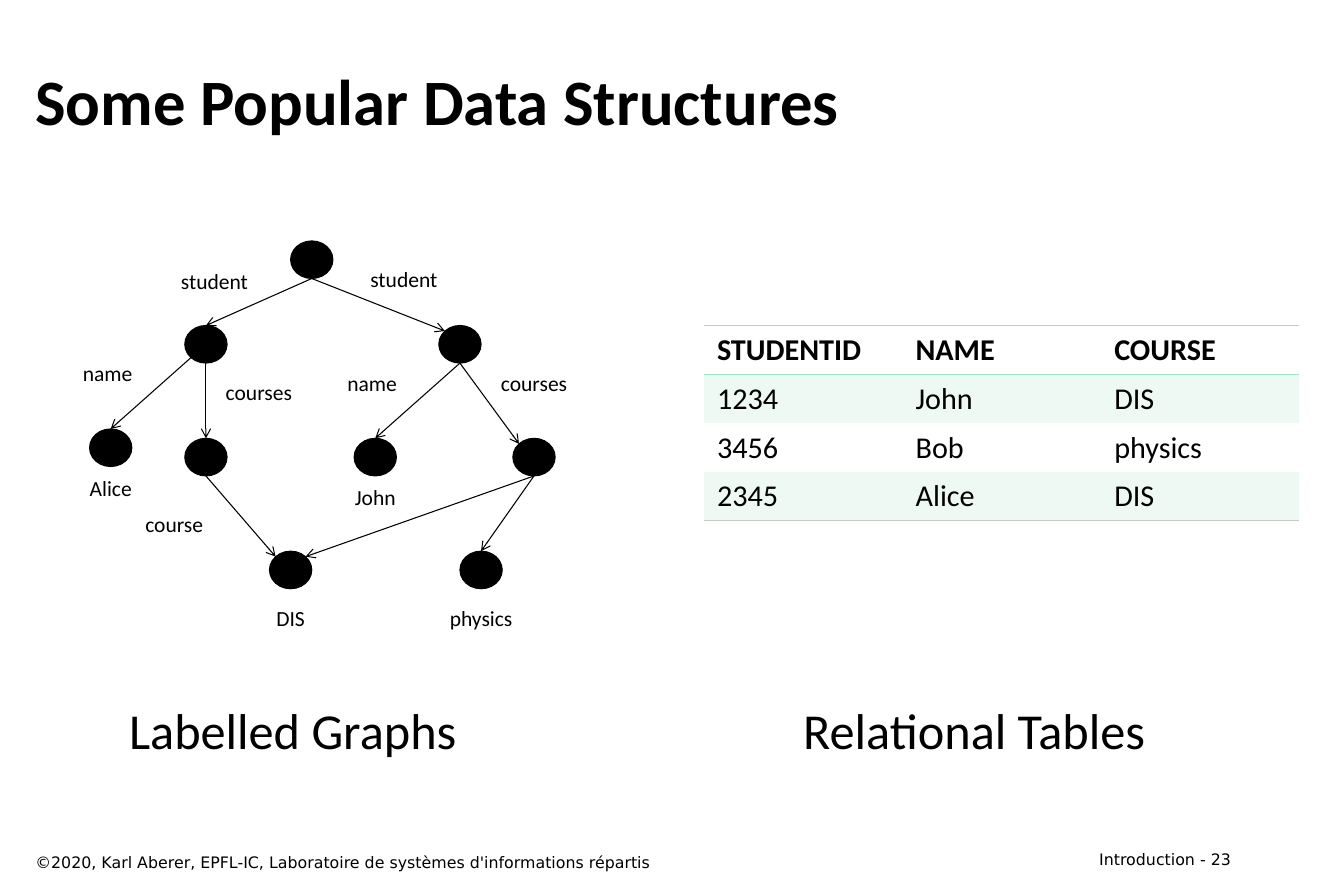
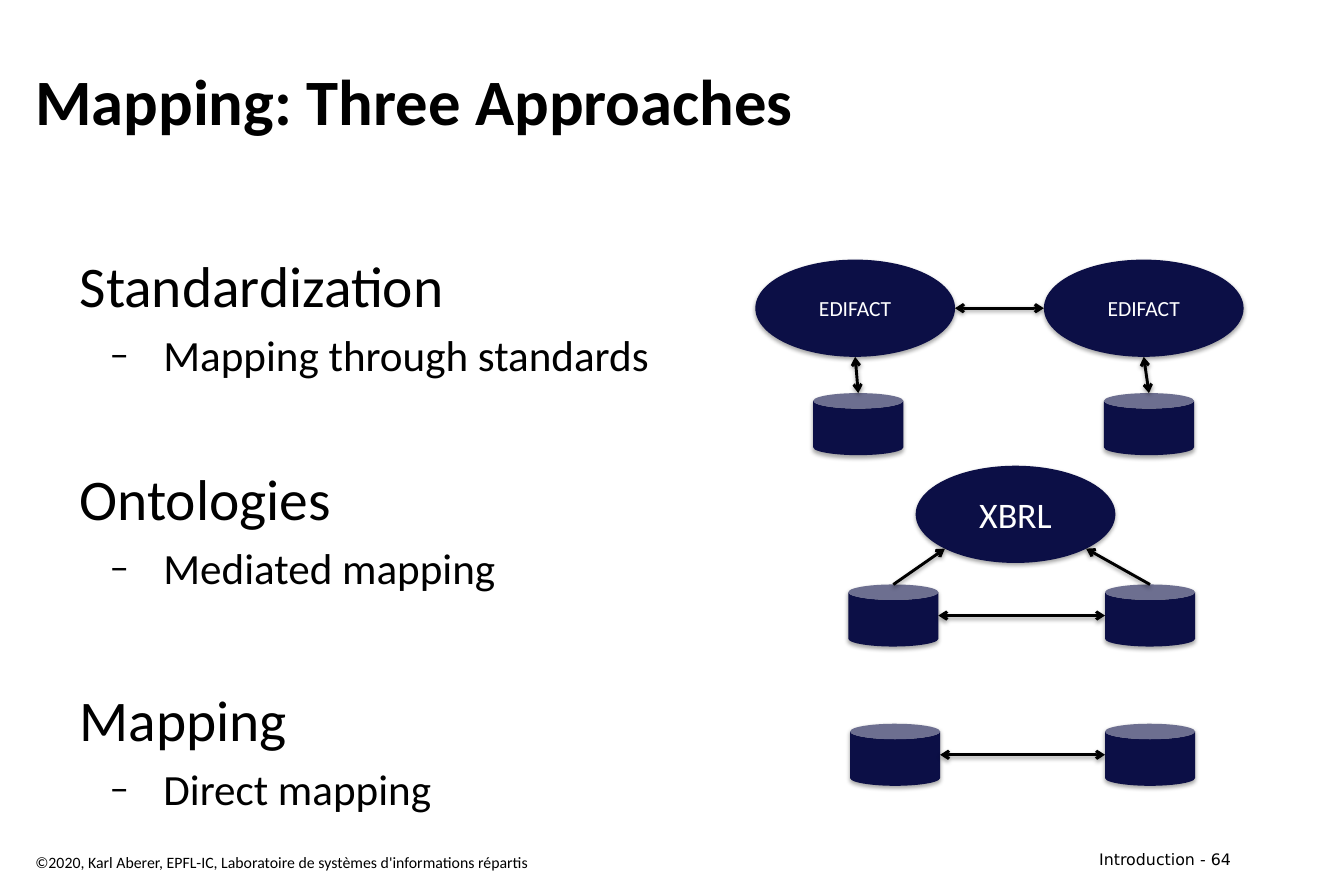
from math import sqrt

from pptx import Presentation
from pptx.dml.color import RGBColor
from pptx.enum.shapes import MSO_CONNECTOR, MSO_SHAPE
from pptx.enum.text import MSO_ANCHOR, PP_ALIGN
from pptx.oxml import parse_xml
from pptx.oxml.ns import nsdecls, qn
from pptx.util import Inches, Pt

WIDTH, HEIGHT = Inches(12.99), Inches(8.66)

BLACK = RGBColor(0x00, 0x00, 0x00)
WHITE = RGBColor(0xFF, 0xFF, 0xFF)
NAVY = RGBColor(0x0C, 0x0F, 0x46)
MINT = RGBColor(0x9F, 0xE6, 0xC8)
PALE_MINT = RGBColor(0xEE, 0xF9, 0xF4)
GREY = RGBColor(0xC8, 0xC8, 0xC8)

TEXT_FONT, FOOTER_FONT = "Calibri", "DejaVu Sans"
COPYRIGHT = "©2020, Karl Aberer, EPFL-IC, Laboratoire de systèmes d'informations répartis"
NO_TABLE_STYLE = "{2D5ABB26-0587-4C30-8999-92F81FD0307C}"

# Directions from the centre of a shape to a point on its outline
DIAGONAL = 1 / sqrt(2)
TOP, BOTTOM, LEFT, RIGHT = (0, -1), (0, 1), (-1, 0), (1, 0)
TOP_LEFT, TOP_RIGHT = (-DIAGONAL, -DIAGONAL), (DIAGONAL, -DIAGONAL)
BOTTOM_LEFT, BOTTOM_RIGHT = (-DIAGONAL, DIAGONAL), (DIAGONAL, DIAGONAL)

# The graph sits on a fine grid whose origin is the centre of the "Alice" node
GRAPH_LEFT, GRAPH_TOP = Inches(1.07), Inches(2.51)
GRAPH_COLUMN, GRAPH_ROW = WIDTH / 127, HEIGHT / 95.3
NODES = {
    "root": (19, 0), "left": (9, 9), "right": (33, 9), "Alice": (0, 20),
    "left courses": (9, 21), "John": (25, 21), "right courses": (40, 21),
    "DIS": (17, 33), "physics": (35, 33),
}
EDGES = [
    ("root", BOTTOM, "left", TOP),
    ("root", BOTTOM, "right", TOP_LEFT),
    ("left", BOTTOM_LEFT, "Alice", TOP),
    ("left", BOTTOM, "left courses", TOP),
    ("right", BOTTOM, "John", TOP),
    ("right", BOTTOM, "right courses", TOP_LEFT),
    ("left courses", BOTTOM, "DIS", TOP_LEFT),
    ("right courses", BOTTOM, "DIS", TOP_RIGHT),
    ("right courses", BOTTOM, "physics", TOP),
]
GRAPH_LABELS = [
    ("student", 9.8, 2.3), ("student", 27.7, 2.1),
    ("name", -0.3, 12.1), ("courses", 14, 14.1),
    ("name", 24.7, 13.1), ("courses", 40, 13.1), ("course", 6, 28.1),
    ("Alice", 0, 24.3), ("John", 25, 25.3), ("DIS", 17, 38.1), ("physics", 35, 38.1),
]
STUDENTS = [
    ("STUDENTID", "NAME", "COURSE"),
    ("1234", "John", "DIS"),
    ("3456", "Bob", "physics"),
    ("2345", "Alice", "DIS"),
]
# Heading, detail, points of space before the heading
APPROACHES = [
    ("Standardization", "Mapping through standards", 0),
    ("Ontologies", "Mediated mapping", 57),
    ("Mapping", "Direct mapping", 63),
]


def across(percent):
    return round(WIDTH * percent / 100)


def down(percent):
    return round(HEIGHT * percent / 100)


def style_paragraph(paragraph, size, color=BLACK, bold=False, font=TEXT_FONT, align=PP_ALIGN.LEFT):
    paragraph.alignment = align
    paragraph.font.size = Pt(size)
    paragraph.font.name = font
    paragraph.font.bold = bold
    paragraph.font.color.rgb = color


def set_margins(frame):
    frame.margin_left = frame.margin_right = Inches(0.12)
    frame.margin_top = frame.margin_bottom = Inches(0.06)


def add_text(slide, text, left, top, width, height, size, anchor=MSO_ANCHOR.TOP, **style):
    """Add a text box; the lengths are percentages of the slide."""
    box = slide.shapes.add_textbox(across(left), down(top), across(width), down(height))
    frame = box.text_frame
    frame.word_wrap = True
    frame.vertical_anchor = anchor
    set_margins(frame)
    frame.text = text
    style_paragraph(frame.paragraphs[0], size, **style)
    return frame


def add_label(slide, text, x, y, width, size):
    """Add one unwrapped line of text centred on a point."""
    height = Pt(size * 1.22) + Inches(0.12)
    box = slide.shapes.add_textbox(round(x - width / 2), round(y - height / 2), width, height)
    frame = box.text_frame
    frame.word_wrap = False
    set_margins(frame)
    frame.text = text
    style_paragraph(frame.paragraphs[0], size, align=PP_ALIGN.CENTER)


def add_shadow(effects, opacity, distance):
    effects.append(parse_xml(
        f'<a:outerShdw {nsdecls("a")} blurRad="{Pt(3.1)}" dist="{Pt(distance)}" dir="5400000" '
        f'rotWithShape="0"><a:srgbClr val="{BLACK}"><a:alpha val="{opacity * 1000}"/>'
        f'</a:srgbClr></a:outerShdw>'))


def add_centred_shape(slide, kind, x, y, width, height, color):
    shape = slide.shapes.add_shape(
        kind, round(x - width / 2), round(y - height / 2), width, height)
    shape.fill.solid()
    shape.fill.fore_color.rgb = color
    shape.line.fill.background()
    shape.shadow.inherit = False
    return shape


def add_navy_shape(slide, kind, x, y, width, height):
    """Add a shadowed navy shape; the lengths are percentages of the slide."""
    shape = add_centred_shape(
        slide, kind, across(x), down(y), across(width), down(height), NAVY)
    add_shadow(shape._element.spPr.find(qn("a:effectLst")), 35, 1.8)
    return shape


def add_standard(slide, name, x, y, size):
    oval = add_navy_shape(slide, MSO_SHAPE.OVAL, x, y, 14.86, 10.85)
    frame = oval.text_frame
    set_margins(frame)
    frame.vertical_anchor = MSO_ANCHOR.MIDDLE
    frame.text = name
    style_paragraph(frame.paragraphs[0], size, WHITE, align=PP_ALIGN.CENTER)
    return oval


def add_database(slide, x, y):
    return add_navy_shape(slide, MSO_SHAPE.CAN, x, y, 6.7, 6.93)


def outline_point(shape, direction):
    x, y = direction
    return (round(shape.left + shape.width * (1 + x) / 2),
            round(shape.top + shape.height * (1 + y) / 2))


def add_arrow(slide, start, start_side, end, end_side, weight, both=False, shadow=False):
    connector = slide.shapes.add_connector(
        MSO_CONNECTOR.STRAIGHT,
        *outline_point(start, start_side), *outline_point(end, end_side))
    connector.line.color.rgb = BLACK
    connector.line.width = Pt(weight)
    properties = connector._element.spPr
    line = properties.find(qn("a:ln"))
    for tag in ("headEnd", "tailEnd") if both else ("tailEnd",):
        line.append(parse_xml(f'<a:{tag} {nsdecls("a")} type="arrow"/>'))
    effects = parse_xml(f'<a:effectLst {nsdecls("a")}/>')
    properties.append(effects)
    if shadow:
        add_shadow(effects, 38, 1.6)


def add_border(cell, side, color):
    cell._tc.get_or_add_tcPr().insert(0, parse_xml(
        f'<a:ln{side} {nsdecls("a")} w="{Pt(1)}"><a:solidFill>'
        f'<a:srgbClr val="{color}"/></a:solidFill></a:ln{side}>'))


def add_student_table(slide):
    graphic = slide.shapes.add_table(
        len(STUDENTS), len(STUDENTS[0]), across(52.35), down(36.37), across(44.34), down(21.6))
    for style_id in graphic._element.iter(qn("a:tableStyleId")):
        style_id.text = NO_TABLE_STYLE
    table = graphic.table
    table.horz_banding = False
    last = len(STUDENTS) - 1
    for row, values in enumerate(STUDENTS):
        for column, value in enumerate(values):
            cell = table.cell(row, column)
            cell.margin_left = cell.margin_right = Inches(0.13)
            cell.margin_top = cell.margin_bottom = Inches(0.06)
            cell.text = value
            style_paragraph(cell.text_frame.paragraphs[0], 21, bold=row == 0)
            if row % 2:
                cell.fill.solid()
                cell.fill.fore_color.rgb = PALE_MINT
            else:
                cell.fill.background()
            if row in (0, last):
                add_border(cell, "B", GREY if row == last else MINT)
            if row == 0:
                add_border(cell, "T", GREY)


def add_slide(presentation, title, number, copyright_font):
    """Add a blank slide with the shared title and footers."""
    slide = presentation.slides.add_slide(presentation.slide_layouts[6])
    add_text(slide, title, 1.7, 4.45, 90.84, 13.4, 45, anchor=MSO_ANCHOR.MIDDLE, bold=True)
    add_text(slide, COPYRIGHT, 1.7, 94.46, 64.2, 3.35, 11, font=copyright_font)
    add_text(slide, f"Introduction - {number}", 71.67, 94.11, 20.86, 3.35, 11,
             font=FOOTER_FONT, align=PP_ALIGN.RIGHT)
    return slide


def graph_point(column, row):
    return GRAPH_LEFT + GRAPH_COLUMN * column, GRAPH_TOP + GRAPH_ROW * row


def add_graph(slide):
    nodes = {}
    for name, position in NODES.items():
        node = add_centred_shape(
            slide, MSO_SHAPE.OVAL, *graph_point(*position),
            round(GRAPH_COLUMN * 4), round(GRAPH_ROW * 4), BLACK)
        node.line.color.rgb = BLACK
        node.line.width = Pt(0.75)
        nodes[name] = node
    for start, start_side, end, end_side in EDGES:
        add_arrow(slide, nodes[start], start_side, nodes[end], end_side, 0.75)
    for text, column, row in GRAPH_LABELS:
        add_label(slide, text, *graph_point(column, row), across(7.5), 15)


def add_approaches(slide):
    frame = add_text(slide, APPROACHES[0][0], 5, 27.2, 90, 66, 40)
    for heading, detail, gap in APPROACHES:
        if gap:
            paragraph = frame.add_paragraph()
            paragraph.text = heading
            paragraph.space_before = Pt(gap)
            style_paragraph(paragraph, 40)
        paragraph = frame.add_paragraph()
        paragraph.text = detail
        paragraph.level = 1
        paragraph.space_before = Pt(7)
        properties = paragraph._p.get_or_add_pPr()
        properties.set("marL", str(Inches(0.81)))
        properties.set("indent", str(Inches(-0.52)))
        for bullet in ('buSzPct {} val="90000"', f'buFont {{}} typeface="{TEXT_FONT}"',
                       'buChar {} char="–"'):
            properties.append(parse_xml(f'<a:{bullet.format(nsdecls("a"))}/>'))
        style_paragraph(paragraph, 30)


def add_mapping_diagrams(slide):
    standards = [add_standard(slide, "EDIFACT", x, 34.4, 15) for x in (63.63, 85.1)]
    ontology = add_standard(slide, "XBRL", 75.56, 57.4, 25)
    pairs = [
        [add_database(slide, x, y) for x in columns]
        for y, columns in ((47.34, (63.86, 85.49)), (68.7, (66.47, 85.57)), (84.24, (66.6, 85.57)))
    ]
    standardized, mediated, direct = pairs
    for left, right in (standards, mediated, direct):
        add_arrow(slide, left, RIGHT, right, LEFT, 2, both=True, shadow=True)
    for standard, database in zip(standards, standardized):
        add_arrow(slide, standard, BOTTOM, database, TOP, 2, both=True, shadow=True)
    for database, side in zip(mediated, (BOTTOM_LEFT, BOTTOM_RIGHT)):
        add_arrow(slide, database, TOP, ontology, side, 2, shadow=True)


def main():
    presentation = Presentation()
    presentation.slide_width, presentation.slide_height = WIDTH, HEIGHT

    slide = add_slide(presentation, "Some Popular Data Structures", 23, FOOTER_FONT)
    add_graph(slide)
    add_student_table(slide)
    for caption, x in (("Labelled Graphs", 21.8), ("Relational Tables", 72.5)):
        add_label(slide, caption, across(x), down(81.5), across(30), 35)

    slide = add_slide(presentation, "Mapping: Three Approaches", 64, TEXT_FONT)
    add_approaches(slide)
    add_mapping_diagrams(slide)

    presentation.save("out.pptx")


if __name__ == "__main__":
    main()
